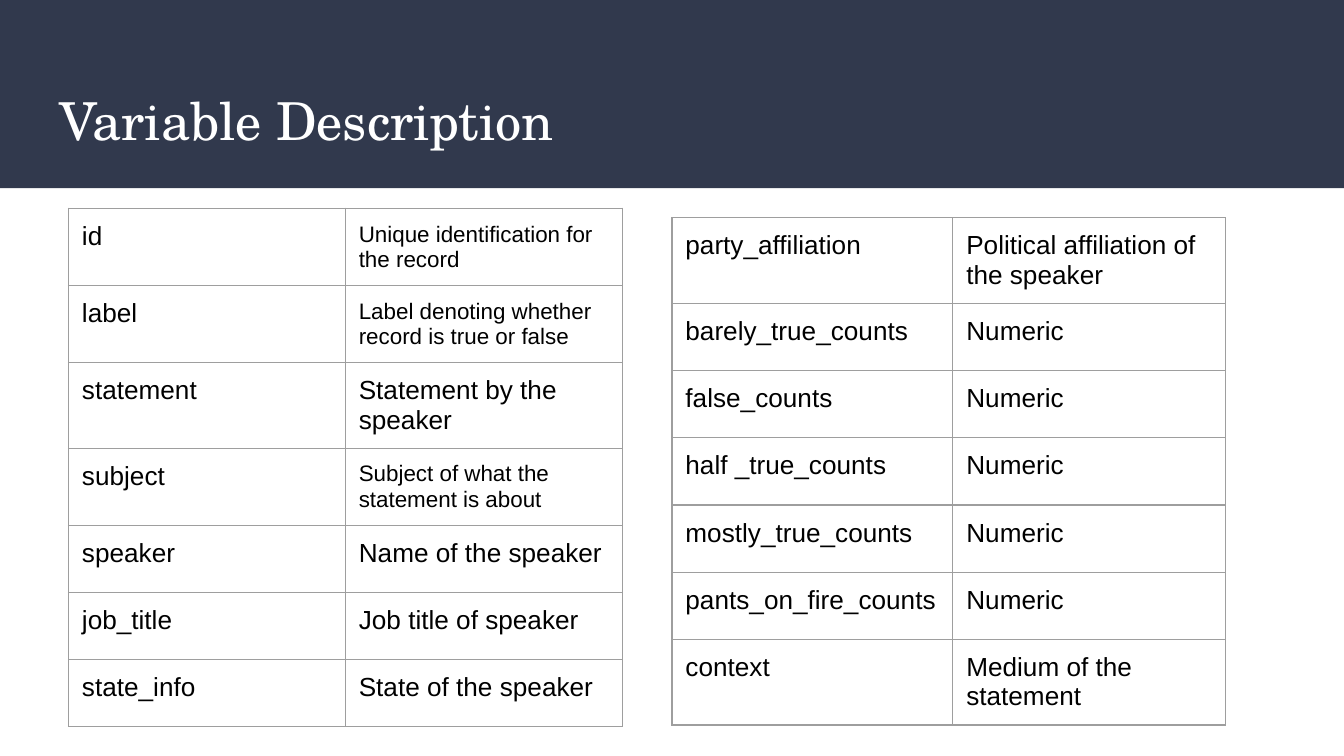
from lxml import etree
from pptx import Presentation
from pptx import util as u
from pptx.dml.color import RGBColor
from pptx.enum import shapes, text
from pptx.oxml import ns

NAVY = RGBColor(0x31, 0x39, 0x4D)
WHITE = RGBColor(0xFF, 0xFF, 0xFF)
BLACK = RGBColor(0, 0, 0)
GREY = RGBColor(0x9E, 0x9E, 0x9E)
SLIDE_WIDTH = u.Inches(10)
SLIDE_HEIGHT = SLIDE_WIDTH * 9 // 16
INSET = u.Inches(0.1)
ROW_HEIGHT = 0.5

RECORD_VARIABLES = [
    ("id", "Unique identification for the record", 12),
    ("label", "Label denoting whether record is true or false", 12),
    ("statement", "Statement by the speaker", 14),
    ("subject", "Subject of what the statement is about", 12),
    ("speaker", "Name of the speaker", 14),
    ("job_title", "Job title of speaker", 14),
    ("state_info", "State of the speaker", 14),
]
COUNT_NAMES = ["barely_true_counts", "false_counts", "half _true_counts",
               "mostly_true_counts", "pants_on_fire_counts"]
HISTORY_VARIABLES = [
    ("party_affiliation", "Political affiliation of the speaker", 14),
    *[(name, "Numeric", 14) for name in COUNT_NAMES],
    ("context", "Medium of the statement", 14),
]


def set_insets(box):
    box.margin_left = box.margin_right = INSET
    box.margin_top = box.margin_bottom = INSET


def style_font(paragraph, name, size, color):
    paragraph.font.name = name
    paragraph.font.size = u.Pt(size)
    paragraph.font.color.rgb = color


def add_header(slide, left, top, width, height):
    band = slide.shapes.add_shape(
        shapes.MSO_SHAPE.RECTANGLE, u.Inches(left), u.Inches(top),
        u.Inches(width), u.Inches(height))
    band.shadow.inherit = False
    band.fill.solid()
    band.fill.fore_color.rgb = NAVY
    band.line.fill.background()

    title = slide.shapes.title
    title.element.addprevious(band.element)
    title.left, title.top = u.Inches(left + 0.34), u.Inches(top + 0.55)
    title.width, title.height = u.Inches(width - 0.68), u.Inches(0.68)
    frame = title.text_frame
    frame.text = "Variable Description"
    frame.word_wrap = True
    frame.auto_size = text.MSO_AUTO_SIZE.NONE
    frame.vertical_anchor = text.MSO_ANCHOR.MIDDLE
    set_insets(frame)
    heading = frame.paragraphs[0]
    heading.alignment = text.PP_ALIGN.LEFT
    style_font(heading, "TeX Gyre Schola", 28, WHITE)


def add_borders(cell):
    properties = cell._tc.get_or_add_tcPr()
    for position, side in enumerate(("lnL", "lnR", "lnT", "lnB")):
        border = etree.Element(ns.qn(f"a:{side}"), w=str(u.Pt(0.75)))
        fill = etree.SubElement(border, ns.qn("a:solidFill"))
        etree.SubElement(fill, ns.qn("a:srgbClr"), val=str(GREY))
        properties.insert(position, border)


def fill_cell(cell, wording, size):
    cell.text = wording
    cell.fill.background()
    cell.vertical_anchor = text.MSO_ANCHOR.TOP
    set_insets(cell)
    style_font(cell.text_frame.paragraphs[0], "Arial", size, BLACK)
    add_borders(cell)


def add_variable_table(slide, left, top, column_widths, variables):
    table = slide.shapes.add_table(
        len(variables), 2, u.Inches(left), u.Inches(top),
        u.Inches(sum(column_widths)),
        u.Inches(ROW_HEIGHT * len(variables))).table
    table.first_row = table.horz_banding = False
    for column, width in zip(table.columns, column_widths):
        column.width = u.Inches(width)
    for row, (name, description, size) in zip(table.rows, variables):
        row.height = u.Inches(ROW_HEIGHT)
        fill_cell(row.cells[0], name, 14)
        fill_cell(row.cells[1], description, size)


def main():
    deck = Presentation()
    deck.slide_width, deck.slide_height = SLIDE_WIDTH, SLIDE_HEIGHT
    slide = deck.slides.add_slide(deck.slide_layouts[5])
    slide.background.fill.solid()
    slide.background.fill.fore_color.rgb = WHITE
    add_header(slide, 0, 0, 10, 1.4)
    add_variable_table(slide, 0.51, 1.55, (2.06, 2.06), RECORD_VARIABLES)
    add_variable_table(slide, 5, 1.62, (2.09, 2.03), HISTORY_VARIABLES)
    deck.save("out.pptx")


if __name__ == "__main__":
    main()
